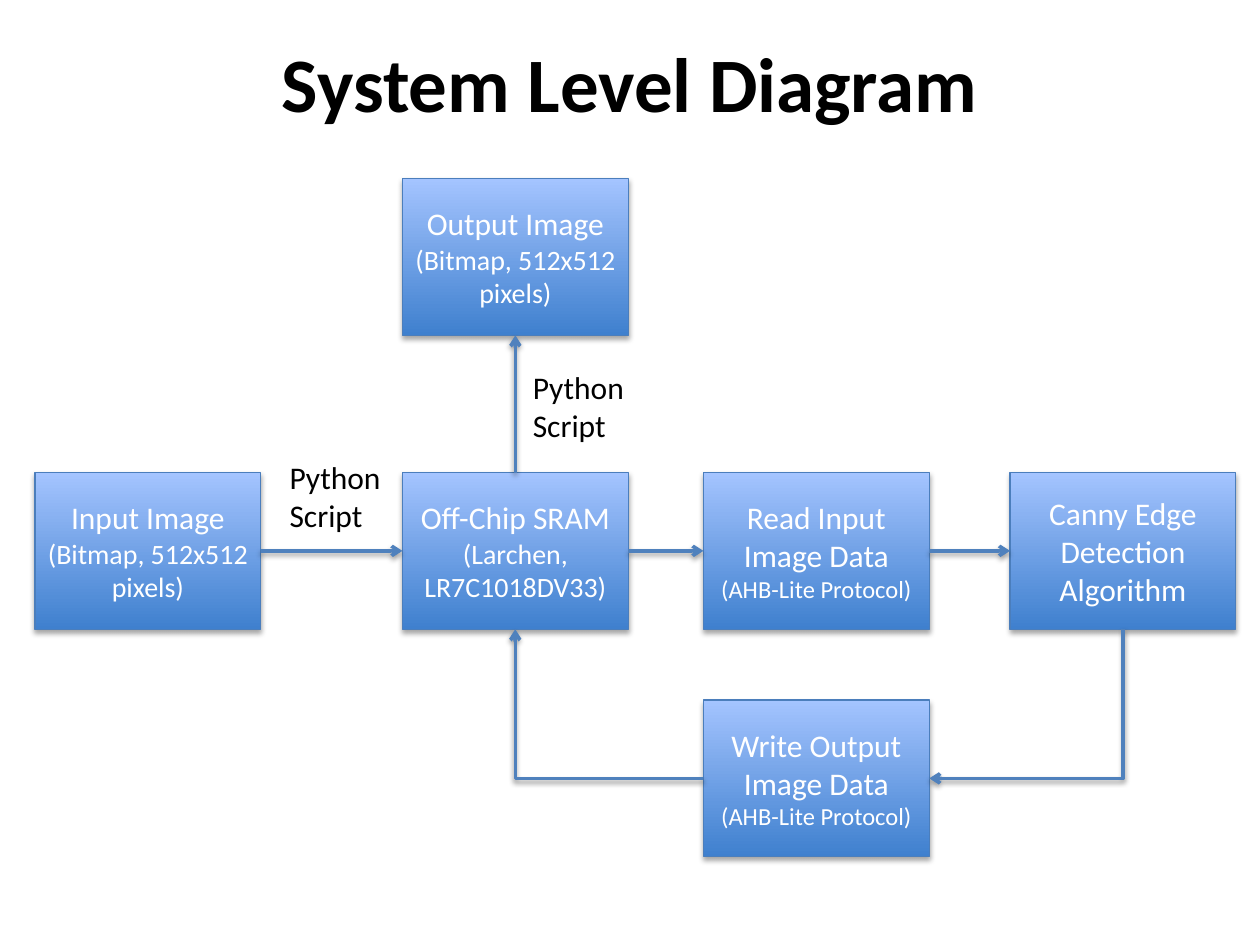
from lxml import etree
from pptx import Presentation
from pptx.dml.color import RGBColor
from pptx.enum.shapes import MSO_CONNECTOR, MSO_SHAPE
from pptx.enum.text import MSO_ANCHOR, MSO_AUTO_SIZE, PP_ALIGN
from pptx.oxml.ns import qn
from pptx.util import Pt

RECTANGLE = MSO_SHAPE.RECTANGLE
STRAIGHT, ELBOW = MSO_CONNECTOR.STRAIGHT, MSO_CONNECTOR.ELBOW
MIDDLE = MSO_ANCHOR.MIDDLE
LEFT_ALIGN, CENTER = PP_ALIGN.LEFT, PP_ALIGN.CENTER
FIT_SHAPE = MSO_AUTO_SIZE.SHAPE_TO_FIT_TEXT

BLACK = RGBColor(0x00, 0x00, 0x00)
WHITE = RGBColor(0xFF, 0xFF, 0xFF)
BLOCK_BOTTOM = RGBColor(0x3F, 0x80, 0xCE)
BLOCK_TOP = RGBColor(0xA4, 0xC4, 0xFF)
BLOCK_EDGE = RGBColor(0x4B, 0x7E, 0xBC)
ARROW_BLUE = RGBColor(0x4F, 0x81, 0xBD)

TOP, LEFT, BOTTOM, RIGHT = range(4)
QUARTER_TURN = "5400000"


class Diagram:
    font = "Calibri"
    block_width, block_height = 129, 89.6

    def __init__(self, slide):
        self.slide = slide

    def set_text(self, frame, lines, color, align, bold=False):
        frame.word_wrap = True
        for index, (text, size) in enumerate(lines):
            paragraph = frame.paragraphs[0] if index == 0 else frame.add_paragraph()
            paragraph.text = text
            paragraph.alignment = align
            paragraph.font.name = self.font
            paragraph.font.size = Pt(size)
            paragraph.font.bold = bold
            paragraph.font.color.rgb = color

    def cast_shadow(self, effects, distance, opacity):
        shadow = etree.SubElement(
            effects, qn("a:outerShdw"), blurRad=str(Pt(3.1)), dist=str(Pt(distance)),
            dir=QUARTER_TURN, rotWithShape="0")
        color = etree.SubElement(shadow, qn("a:srgbClr"), val=str(BLACK))
        etree.SubElement(color, qn("a:alpha"), val=str(opacity * 1000))

    def title(self, text, left, top, width, height):
        heading = self.slide.shapes.add_textbox(Pt(left), Pt(top), Pt(width), Pt(height))
        heading.text_frame.vertical_anchor = MIDDLE
        self.set_text(heading.text_frame, [(text, 44)], BLACK, CENTER, bold=True)

    def label(self, text, left, top):
        caption = self.slide.shapes.add_textbox(Pt(left), Pt(top), Pt(69), Pt(51))
        self.set_text(caption.text_frame, [(text, 18)], BLACK, LEFT_ALIGN)
        caption.text_frame.auto_size = FIT_SHAPE

    def block(self, left, top, *lines):
        block = self.slide.shapes.add_shape(
            RECTANGLE, Pt(left), Pt(top), Pt(self.block_width), Pt(self.block_height))
        block.fill.gradient()
        block.fill.gradient_angle = 90
        for stop, color in zip(block.fill.gradient_stops, (BLOCK_BOTTOM, BLOCK_TOP)):
            stop.color.rgb = color
        block.line.color.rgb = BLOCK_EDGE
        block.line.width = Pt(0.75)
        block.shadow.inherit = False
        self.cast_shadow(block.element.spPr.find(qn("a:effectLst")), 1.8, 35)
        block.text_frame.vertical_anchor = MIDDLE
        self.set_text(block.text_frame, lines, WHITE, CENTER)
        return block

    def arrow(self, source, source_side, target, target_side, kind=STRAIGHT):
        arrow = self.slide.shapes.add_connector(kind, 0, 0, 0, 0)
        arrow.begin_connect(source, source_side)
        arrow.end_connect(target, target_side)
        arrow.line.color.rgb = ARROW_BLUE
        arrow.line.width = Pt(2)
        properties = arrow.element.spPr
        etree.SubElement(properties.find(qn("a:ln")), qn("a:tailEnd"), type="arrow")
        self.cast_shadow(etree.SubElement(properties, qn("a:effectLst")), 1.6, 38)
        return arrow

    def bent_arrow(self, source, source_side, target, target_side):
        arrow = self.arrow(source, source_side, target, target_side, ELBOW)
        properties = arrow.element.spPr
        properties.find(qn("a:prstGeom")).set("prst", "bentConnector2")
        if source_side == BOTTOM:
            width, height = arrow.width, arrow.height
            shift = (width - height) // 2
            arrow.left, arrow.top = arrow.left + shift, arrow.top - shift
            arrow.width, arrow.height = height, width
            frame = properties.find(qn("a:xfrm"))
            frame.attrib.pop("flipH", None)
            frame.set("rot", QUARTER_TURN)


def main():
    presentation = Presentation()
    presentation.slide_width, presentation.slide_height = Pt(720), Pt(540)
    diagram = Diagram(presentation.slides.add_slide(presentation.slide_layouts[6]))

    input_x, memory_x, data_x, canny_x = 20, 230, 402, 577.2
    output_y, main_y, result_y = 102, 270, 400
    bitmap = ("(Bitmap, 512x512 pixels)", 16)
    protocol = ("(AHB-Lite Protocol)", 14)

    diagram.title("System Level Diagram", 36, 1.5, 648, 90)
    input_image = diagram.block(input_x, main_y, ("Input Image", 18), bitmap)
    sram = diagram.block(
        memory_x, main_y, ("Off-Chip SRAM", 18), ("(Larchen, LR7C1018DV33)", 16))
    result_data = diagram.block(data_x, result_y, ("Write Output Image Data", 18), protocol)
    canny = diagram.block(canny_x, main_y, ("Canny Edge Detection Algorithm", 18))
    source_data = diagram.block(data_x, main_y, ("Read Input Image Data", 18), protocol)
    output_image = diagram.block(memory_x, output_y, ("Output Image", 18), bitmap)

    pipeline = [input_image, sram, source_data, canny]
    for source, target in zip(pipeline, pipeline[1:]):
        diagram.arrow(source, RIGHT, target, LEFT)
    diagram.bent_arrow(canny, BOTTOM, result_data, RIGHT)
    diagram.bent_arrow(result_data, LEFT, sram, BOTTOM)
    diagram.arrow(sram, TOP, output_image, BOTTOM)

    for left, top in ((158.4, 258), (297.4, 207)):
        diagram.label("Python Script", left, top)

    presentation.save("out.pptx")


if __name__ == "__main__":
    main()
